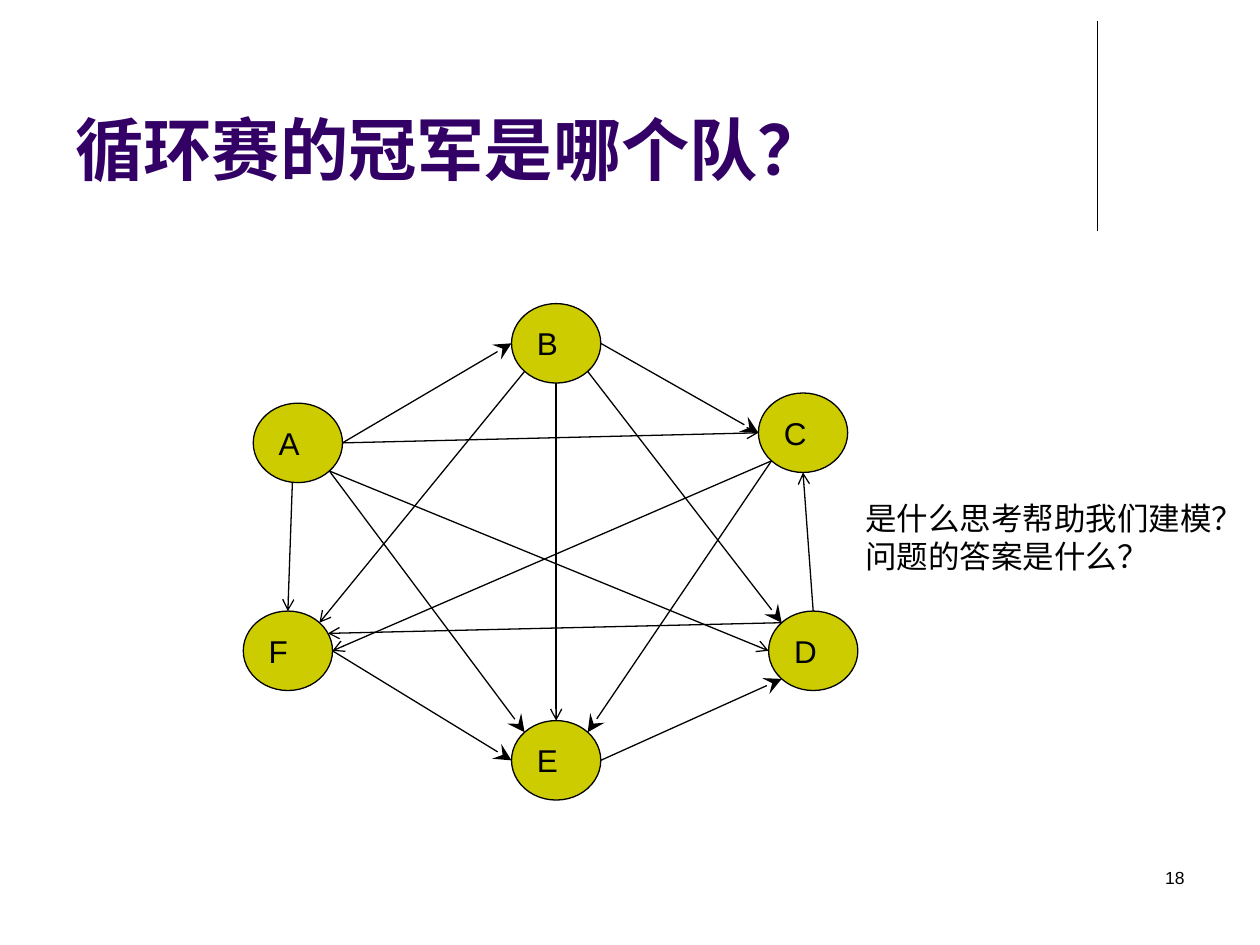
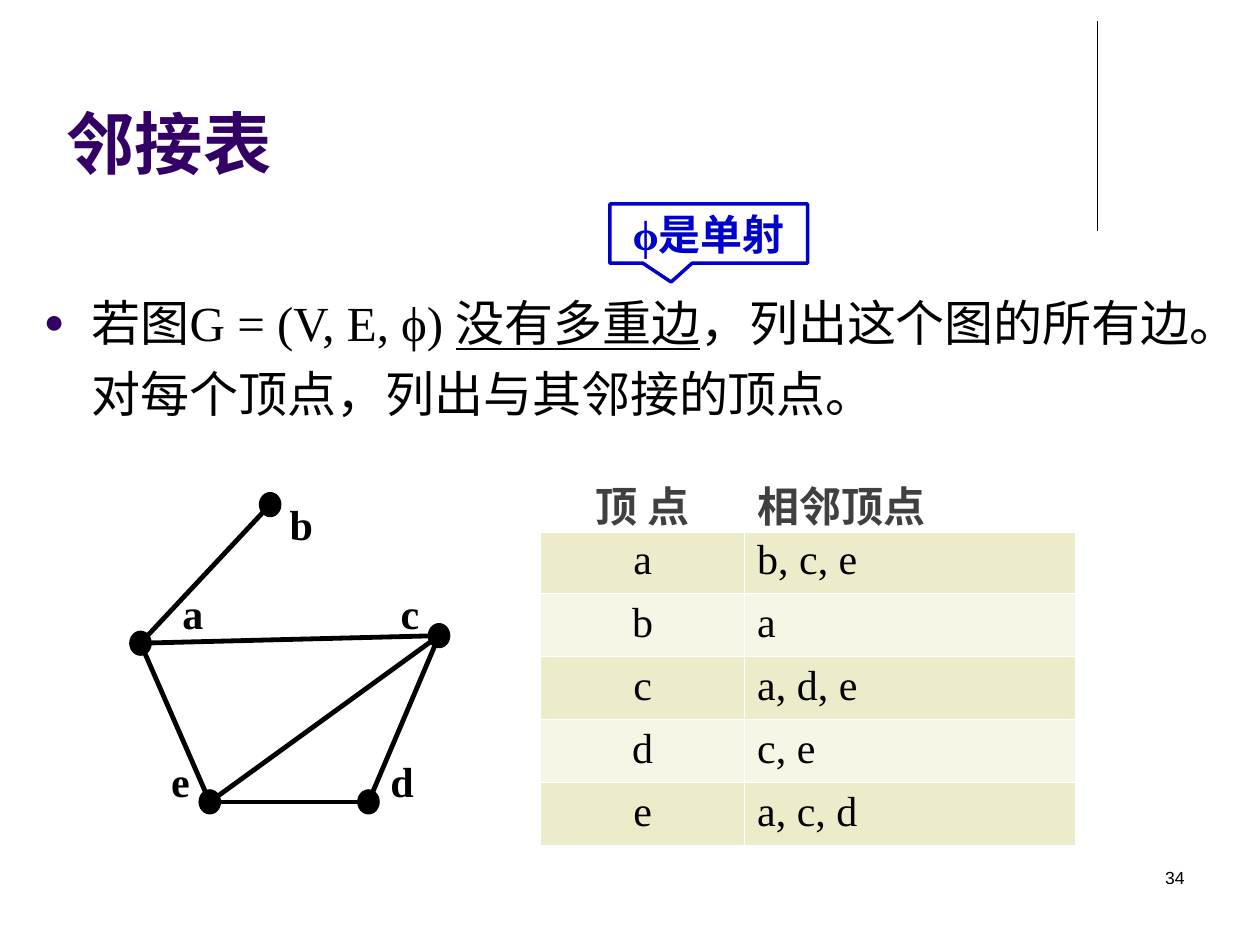
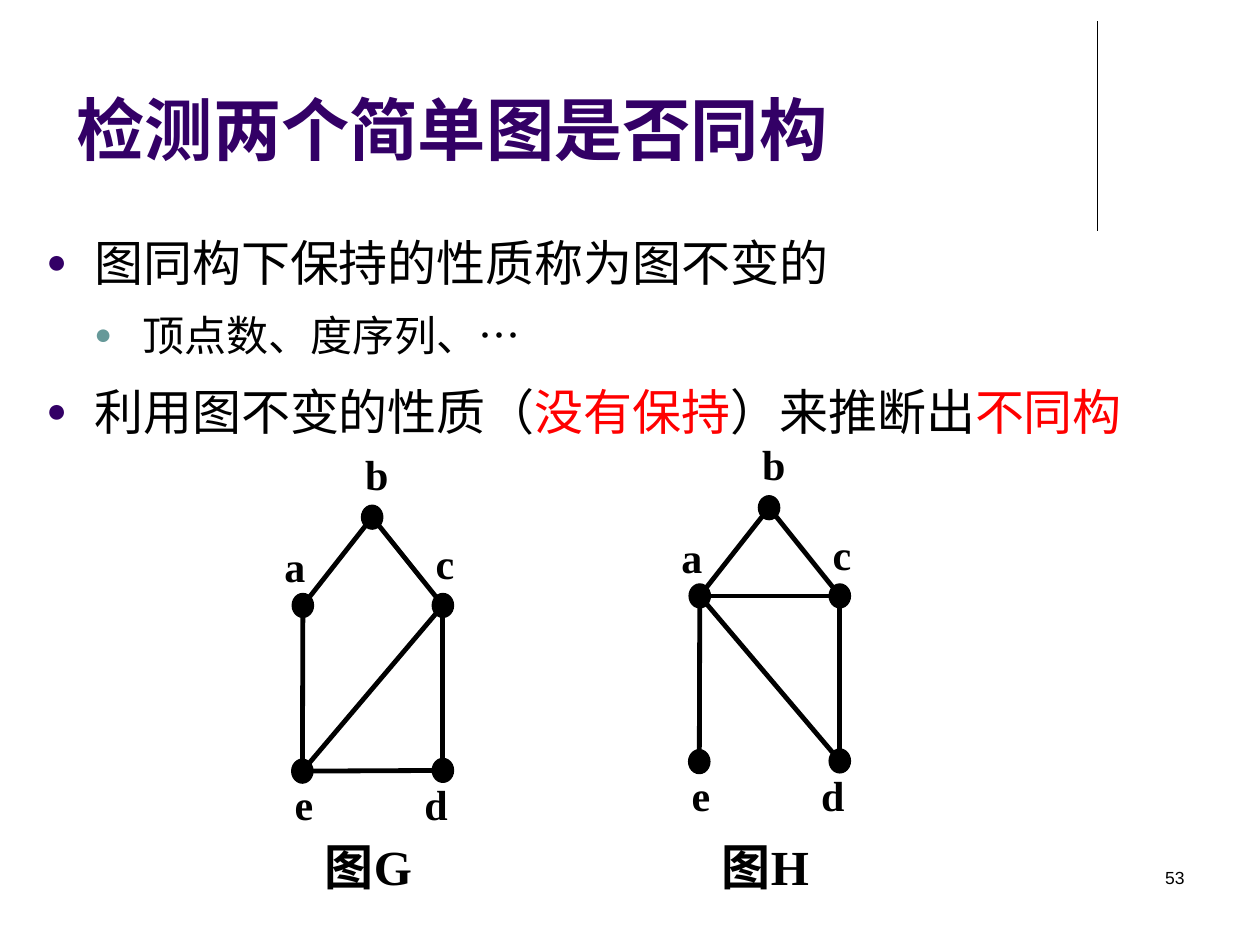
import math
from dataclasses import dataclass

from lxml import etree
from pptx import Presentation
from pptx import util as u
from pptx.dml import color
from pptx.enum import lang, shapes, text
from pptx.oxml import ns


# Theme: colours, fonts and type sizes
@dataclass(frozen=True)
class Theme:
    black: str = "000000"
    white: str = "FFFFFF"
    title_purple: str = "330066"
    sub_bullet: str = "669999"
    node_olive: str = "CCCC00"
    callout_blue: str = "0000CC"
    alert_red: str = "FF0000"
    header_grey: str = "404040"
    row_dark: str = "ECECCB"
    row_light: str = "F6F6E7"
    sans: str = "Arial"
    serif: str = "Times New Roman"
    chinese: str = "Noto Sans CJK SC"
    title_size: float = 39
    body_size: float = 28
    label_size: float = 24
    note_size: float = 18
    number_size: float = 10
    hairline: float = 0.75
    edge: float = 2.75


THEME = Theme()
ALIGN = text.PP_ALIGN
TEAM_SIZE = (51, 45.4)
DOT_SIZE = (12.2, 13.7)


def rgb(value):
    return color.RGBColor.from_string(value)


def add_xml(parent, tag, **attributes):
    return etree.SubElement(parent, ns.qn(tag), attributes)


def write(paragraph, words, size=THEME.note_size, font=THEME.sans, ink=THEME.black,
          bold=False, underline=False, align=None):
    """Add one formatted run to a paragraph."""
    run = paragraph.add_run()
    run.text = words
    run.font.size = u.Pt(size)
    run.font.name = font
    run.font.bold = bold
    run.font.underline = underline
    run.font.color.rgb = rgb(ink)
    run.font.language_id = lang.MSO_LANGUAGE_ID.SIMPLIFIED_CHINESE
    add_xml(run._r.get_or_add_rPr(), "a:ea", typeface=THEME.chinese)
    if align is not None:
        paragraph.alignment = align


def set_bullet(paragraph, level, ink):
    properties = paragraph._p.get_or_add_pPr()
    properties.set("marL", str(u.Pt(27.4 * (level + 1))))
    properties.set("indent", str(-u.Pt(27.4)))
    add_xml(add_xml(properties, "a:buClr"), "a:srgbClr", val=ink)
    add_xml(properties, "a:buSzPct", val="70000")
    add_xml(properties, "a:buFont", typeface=THEME.sans)
    add_xml(properties, "a:buChar", char="●")
    paragraph.level = level


def set_borders(cell, top=1, bottom=1):
    properties = cell._tc.get_or_add_tcPr()
    for side, width in (("L", 1), ("R", 1), ("T", top), ("B", bottom)):
        line = add_xml(properties, f"a:ln{side}", w=str(u.Pt(width)))
        add_xml(add_xml(line, "a:solidFill"), "a:srgbClr", val=THEME.white)


class Deck:
    """Holds the theme and the current slide; one method per kind of element."""

    def __init__(self, theme):
        self.theme = theme
        self.presentation = Presentation()
        self.presentation.slide_width = u.Pt(720)
        self.presentation.slide_height = u.Pt(540)
        self.slide = None

    def new_slide(self, title, box, number, font=None):
        self.slide = self.presentation.slides.add_slide(self.presentation.slide_layouts[6])
        self.line((627, 12.2), (627, 131.8))
        self.text(box, title, anchor=text.MSO_ANCHOR.BOTTOM, size=self.theme.title_size,
                  font=font or self.theme.sans, ink=self.theme.title_purple, bold=True)
        self.text((516.2, 491.8, 167.8, 36), number, size=self.theme.number_size,
                  align=ALIGN.RIGHT)

    def frame(self, box, wrap=True, anchor=text.MSO_ANCHOR.TOP):
        frame = self.slide.shapes.add_textbox(*map(u.Pt, box)).text_frame
        frame.word_wrap = wrap
        frame.vertical_anchor = anchor
        return frame

    def text(self, box, words, wrap=True, anchor=text.MSO_ANCHOR.TOP, **style):
        frame = self.frame(box, wrap, anchor)
        for index, line in enumerate(words.split("\n")):
            write(frame.add_paragraph() if index else frame.paragraphs[0], line, **style)

    def bullets(self, box, items, font, align=None):
        """Each item is (level, [(words, extra format), ...])."""
        frame = self.frame(box)
        for index, (level, runs) in enumerate(items):
            paragraph = frame.add_paragraph() if index else frame.paragraphs[0]
            ink = self.theme.sub_bullet if level else self.theme.title_purple
            size = self.theme.label_size if level else self.theme.body_size
            set_bullet(paragraph, level, ink)
            paragraph.line_spacing = 1.2
            paragraph.space_before = u.Pt(size * 0.2 if index else 0)
            for words, extra in runs:
                write(paragraph, words, size=size, font=font, align=align, **extra)

    def shape(self, kind, box, fill=None, ink=None, width=None, words=None, **style):
        shape = self.slide.shapes.add_shape(kind, *map(u.Pt, box))
        shape.shadow.inherit = False
        if fill:
            shape.fill.solid()
            shape.fill.fore_color.rgb = rgb(fill)
        else:
            shape.fill.background()
        shape.line.color.rgb = rgb(ink or self.theme.black)
        shape.line.width = u.Pt(width or self.theme.hairline)
        if words:
            shape.text_frame.word_wrap = False
            shape.text_frame.vertical_anchor = text.MSO_ANCHOR.MIDDLE
            write(shape.text_frame.paragraphs[0], words, **style)
        return shape

    def line(self, start, end, width=None, head=None):
        connector = self.slide.shapes.add_connector(
            shapes.MSO_CONNECTOR.STRAIGHT, *map(u.Pt, (*start, *end)))
        connector.line.color.rgb = rgb(self.theme.black)
        connector.line.width = u.Pt(width or self.theme.hairline)
        properties = connector._element.spPr
        if head:
            size = "lg" if head == "stealth" else "med"
            add_xml(properties.find(ns.qn("a:ln")), "a:tailEnd", type=head, w=size, len=size)
        add_xml(properties, "a:effectLst")

    def graph(self, dots, labels, edges, shift=(0, 0)):
        """Draw dots (top-left corners), their letters and the edges between centres."""
        def moved(point):
            return point[0] + shift[0], point[1] + shift[1]

        centres = {name: moved((x + DOT_SIZE[0] / 2, y + DOT_SIZE[1] / 2))
                   for name, (x, y) in dots.items()}
        for start, end in edges.split():
            self.line(centres[start], centres[end], self.theme.edge)
        for name, corner in dots.items():
            self.shape(shapes.MSO_SHAPE.OVAL, (*moved(corner), *DOT_SIZE),
                       fill=self.theme.black)
            self.text((*moved(labels[name]), 28, 36), name, size=self.theme.label_size,
                      font=self.theme.serif, bold=True)

    def table(self, corner, widths, row_height, rows):
        graphic = self.slide.shapes.add_table(
            len(rows), len(widths), *map(u.Pt, (*corner, sum(widths), row_height * len(rows))))
        table = graphic.table
        for column, width in zip(table.columns, widths):
            column.width = u.Pt(width)
        for row_index, row in enumerate(rows):
            table.rows[row_index].height = u.Pt(row_height)
            header = row_index == 0
            for column_index, words in enumerate(row):
                cell = table.cell(row_index, column_index)
                set_borders(cell, top=3 if row_index == 1 else 1, bottom=3 if header else 1)
                if header:
                    cell.fill.background()
                else:
                    cell.fill.solid()
                    cell.fill.fore_color.rgb = rgb(
                        self.theme.row_dark if row_index % 2 else self.theme.row_light)
                write(cell.text_frame.paragraphs[0], words, size=self.theme.label_size,
                      font=self.theme.sans if header else self.theme.serif,
                      ink=self.theme.header_grey if header else self.theme.black,
                      bold=header, underline=header,
                      align=ALIGN.LEFT if column_index else ALIGN.CENTER)


# Slide 1: round-robin tournament
TEAMS = {"A": (144.7, 230.4), "B": (292.3, 173.5), "C": (433.4, 224.6),
         "F": (139, 349.2), "E": (292.3, 411.8), "D": (439.2, 349.2)}
# Winner, angle of departure, loser, angle of arrival (clockwise from the right)
MATCHES = {
    "stealth": [("A", 0, "B", 180), ("B", 0, "C", 180), ("F", 0, "E", 180),
                ("E", 0, "D", 135), ("A", 45, "E", 225), ("B", 45, "D", 225),
                ("C", 135, "E", 315)],
    "arrow": [("B", 90, "E", 270), ("A", 45, "D", 180), ("B", 135, "F", 315),
              ("A", 97, "F", 270), ("C", 135, "F", 0), ("D", 270, "C", 90),
              ("A", 0, "C", 180), ("D", 225, "F", 334)],
}


def rim_point(team, degrees):
    (left, top), (width, height) = TEAMS[team], TEAM_SIZE
    angle = math.radians(degrees)
    return (left + width / 2 * (1 + math.cos(angle)),
            top + height / 2 * (1 + math.sin(angle)))


def tournament_slide(deck):
    deck.new_slide("循环赛的冠军是哪个队？", (36, 9.4, 594, 102.2), "18")
    for team, corner in TEAMS.items():
        deck.shape(shapes.MSO_SHAPE.OVAL, (*corner, *TEAM_SIZE), fill=THEME.node_olive,
                   words=team, align=ALIGN.LEFT)
    for head, matches in MATCHES.items():
        for winner, leaving, loser, arriving in matches:
            deck.line(rim_point(winner, leaving), rim_point(loser, arriving), head=head)
    deck.text((487.4, 281.5, 232.6, 51), "是什么思考帮助我们建模？\n问题的答案是什么？",
              wrap=False)


# Slide 2: adjacency list
def adjacency_slide(deck):
    deck.new_slide("邻接表", (31, 43.2, 671.8, 64.8), "34", font=THEME.chinese)
    deck.bullets((18, 157, 671, 102), [
        (0, [("若图G = (V, E, ϕ) ", {}),
             ("没有多重边", {"underline": True}),
             ("，列出这个图的所有边。对每个顶点，列出与其邻接的顶点。", {})]),
    ], font=THEME.serif)
    callout = deck.shape(shapes.MSO_SHAPE.RECTANGULAR_CALLOUT, (348.5, 116.6, 113, 33.8),
                         ink=THEME.callout_blue, width=2, words="ϕ是单射",
                         size=THEME.label_size, font=THEME.serif, bold=True,
                         align=ALIGN.CENTER)
    callout.text_frame.paragraphs[0].runs[0].font.color.rgb = rgb(THEME.callout_blue)
    callout.adjustments[0], callout.adjustments[1] = -0.19, 0.82
    deck.table((308.9, 267.1), (116.6, 189.4), 29.5, [
        ("顶 点", "相邻顶点"), ("a", "b, c, e"), ("b", "a"),
        ("c", "a, d, e"), ("d", "c, e"), ("e", "a, c, d")])
    deck.graph(
        dots={"a": (74.2, 360.7), "b": (148.3, 281.5), "c": (244.8, 356.4),
              "d": (204.5, 451.4), "e": (113.8, 451.4)},
        labels={"a": (97.2, 332), "b": (158.4, 281.5), "c": (221.8, 332),
                "d": (216, 428.4), "e": (90.7, 428.4)},
        edges="ab ac ae ce cd de")


# Slide 3: two graphs on the same five points
def isomorphism_slide(deck):
    deck.new_slide("检测两个简单图是否同构", (36.7, 25.9, 594, 74.2), "53")
    red = {"ink": THEME.alert_red}
    deck.bullets((19.4, 122.4, 680.4, 141.8), [
        (0, [("图同构下保持的性质称为图不变的", {})]),
        (1, [("顶点数、度序列、…", {})]),
        (0, [("利用图不变的性质（", {}), ("没有保持", red),
             ("）来推断出", {}), ("不同构", red)]),
    ], font=THEME.sans, align=ALIGN.JUSTIFY)
    dots = {"a": (167, 339.1), "b": (206.6, 288.7), "c": (247, 339.1),
            "d": (247, 433.4), "e": (166.7, 433.8)}
    labels = {"a": (155.5, 305.3), "b": (201.6, 252.7), "c": (241.9, 303.8),
              "d": (235.4, 441.4), "e": (161.3, 441.4)}
    for name, edges, shift in (("图G", "ab bc ae ce cd de", (0, 0)),
                               ("图H", "ab bc ac ae ad cd", (226.8, -5.4))):
        deck.graph(dots, labels, edges, shift)
        deck.text((178.6 + shift[0], 474.5, 79, 41), name, size=THEME.body_size,
                  font=THEME.serif, bold=True)


def main():
    deck = Deck(THEME)
    tournament_slide(deck)
    adjacency_slide(deck)
    isomorphism_slide(deck)
    deck.presentation.save("out.pptx")


if __name__ == "__main__":
    main()
